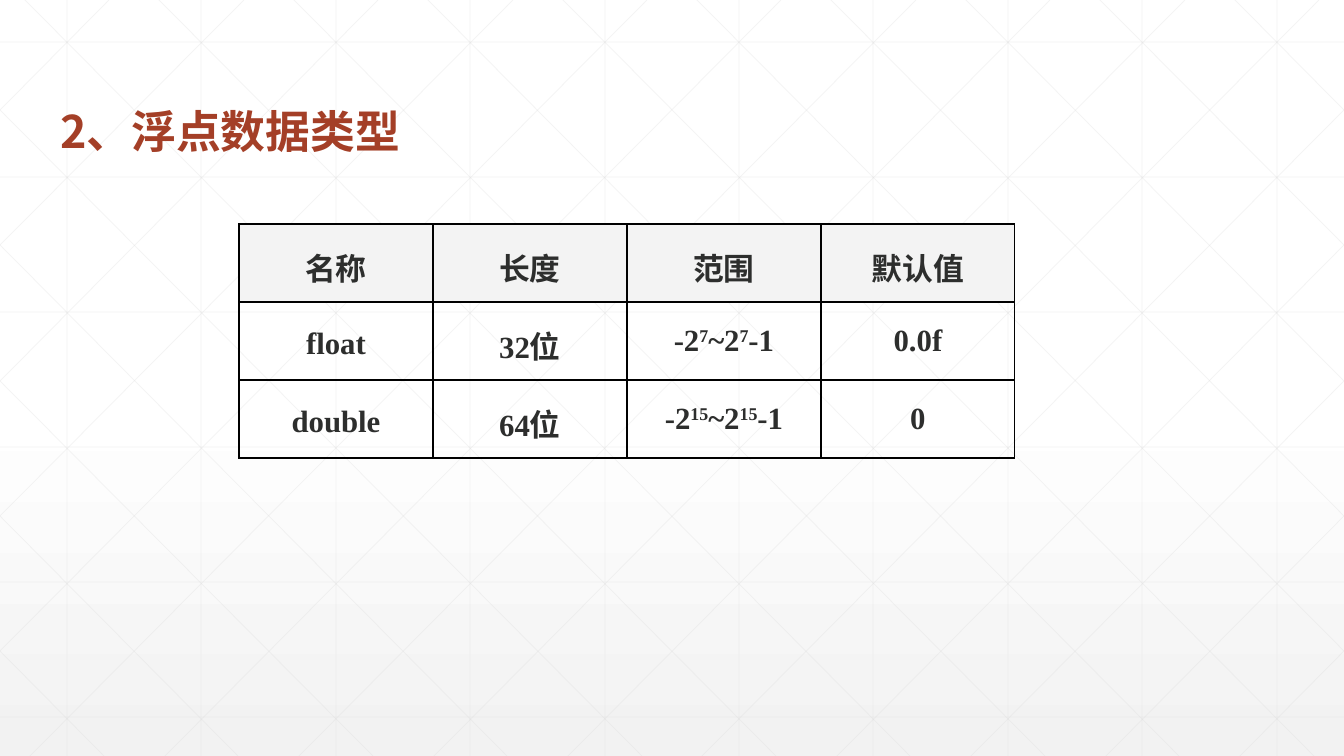
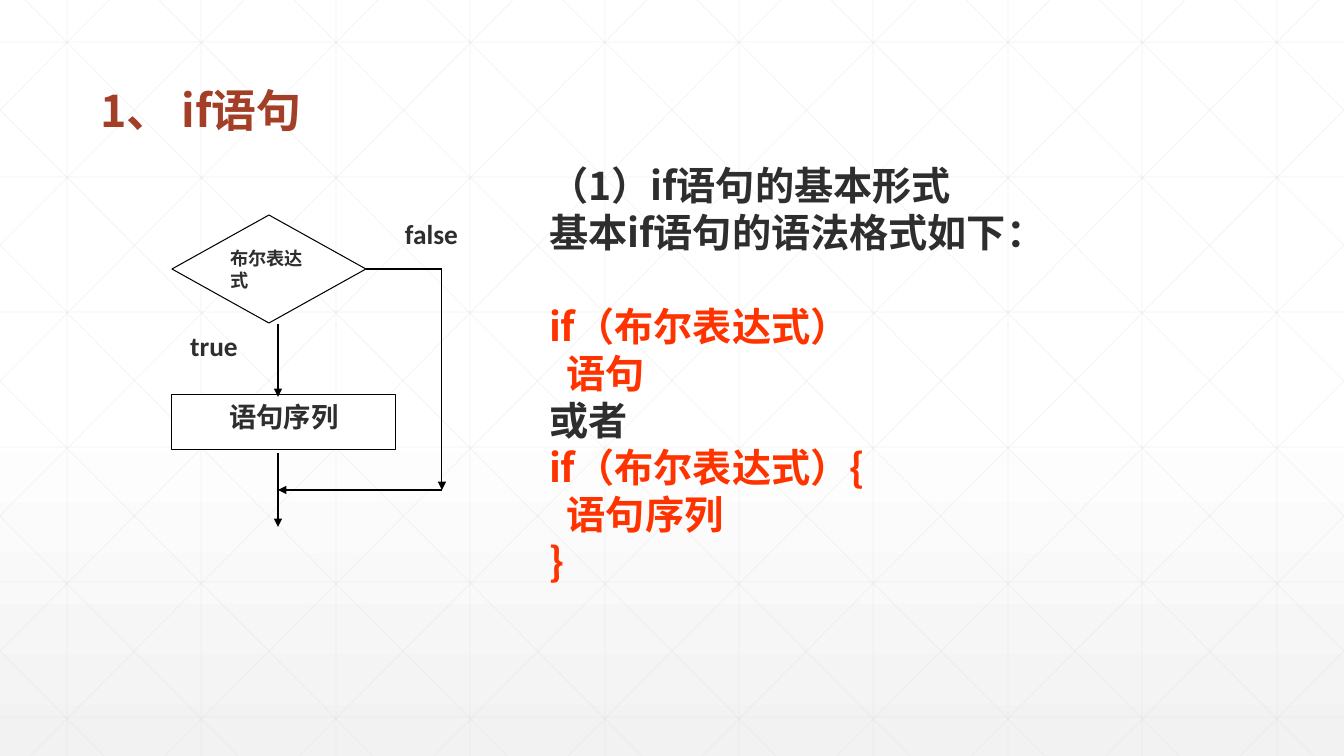
"""Build two Java lesson slides: floating-point types and the if statement."""
import dataclasses

import lxml.etree
import pptx
import pptx.dml.color
import pptx.enum.shapes
import pptx.enum.text
import pptx.oxml.ns
import pptx.util

RGB = pptx.dml.color.RGBColor.from_string
ALIGN = pptx.enum.text.PP_ALIGN
ANCHOR = pptx.enum.text.MSO_ANCHOR
SHAPE = pptx.enum.shapes.MSO_SHAPE
STRAIGHT = pptx.enum.shapes.MSO_CONNECTOR.STRAIGHT
SCALE = 914400 / 100.8
WIDTH, HEIGHT = 1344, 756


@dataclasses.dataclass(frozen=True)
class Theme:
    accent: str = "A43F27"
    ink: str = "2D2E2D"
    code: str = "FF3300"
    line: str = "000000"
    paper: str = "FFFFFF"
    shade: str = "F2F2F2"
    header: str = "F3F3F3"
    lattice: str = "D9D9D9"
    cjk: str = "Noto Sans CJK SC"
    serif: str = "Times New Roman"
    sans: str = "Calibri"
    title_pt: float = 32
    body_pt: float = 28
    table_pt: float = 22
    label_pt: float = 19.5
    small_pt: float = 13
    body_pitch: float = 33.6


T = Theme()

LATTICE = dict(pitch=134.4, first_x=67, first_y=42, pitch_y=135, slant_x=25, run=751)

FLOAT_TITLE = ("2、浮点数据类型", (50, 62, 898, 101))
FLOAT_BOX = (239, 224, 776, 234)
FLOAT_ROWS = [
    ["名称", "长度", "范围", "默认值"],
    ["float", "32位", ["-2", "7", "~2", "7", "-1"], "0.0f"],
    ["double", "64位", ["-2", "15", "~2", "15", "-1"], "0"],
]

IF_TITLE = ("1、 if语句", (90, 41, 898, 101))
IF_BOX = (517, 157, 678, 440)
IF_LINES = [
    ("（1）if语句的基本形式", T.ink, 0),
    ("基本if语句的语法格式如下：", T.ink, 0),
    ("if（布尔表达式）", T.code, 1),
    ("  语句", T.code, 0),
    ("或者", T.ink, 0),
    ("if（布尔表达式）{", T.code, 0),
    ("  语句序列", T.code, 0),
    ("}", T.code, 0),
]
FLOW_SHAPES = [
    ("语句序列", SHAPE.RECTANGLE, (172, 395, 224, 55), T.label_pt, ALIGN.CENTER),
    ("布尔表达式", SHAPE.DIAMOND, (172, 215, 194, 108), T.small_pt, ALIGN.LEFT),
]
FLOW_LABELS = [("true", (151, 324, 126, 55)), ("false", (366, 212, 131, 55))]
FLOW_ARROWS = [
    ((278, 324), (278, 397)),
    ((442, 269), (442, 490)),
    ((278, 453), (278, 527)),
    ((442, 490), (278, 490)),
]
FALSE_BRANCH = ((366, 269), (442, 269))


def px(n):
    return pptx.util.Emu(round(n * SCALE))


def box(values):
    return [px(v) for v in values]


def assign(target, **values):
    for name, value in values.items():
        setattr(target, name, value)


def sub(parent, tag, **attrs):
    return lxml.etree.SubElement(parent, pptx.oxml.ns.qn(tag), attrs)


def style(font, name, size, color):
    assign(font, name=name, size=pptx.util.Pt(size), bold=True)
    font.color.rgb = RGB(color)


def write(tf, text, name, size, align):
    assign(tf, word_wrap=True, vertical_anchor=ANCHOR.TOP)
    p = tf.paragraphs[0]
    p.alignment = align
    r = p.add_run()
    r.text = text
    style(r.font, name, size, T.ink)


def add_line(s, start, end, color, weight, arrow=False, alpha=None):
    line = s.shapes.add_connector(STRAIGHT, *box(start + end))
    line.line.color.rgb = RGB(color)
    line.line.width = pptx.util.Pt(weight)
    ln = line.line._get_or_add_ln()
    if alpha:
        sub(ln.find(".//" + pptx.oxml.ns.qn("a:srgbClr")), "a:alpha", val=str(alpha * 1000))
    if arrow:
        sub(ln, "a:tailEnd", type="triangle")
    sub(line._element.spPr, "a:effectLst")
    return line


def lattice_lines():
    g = LATTICE
    for i in range(10):
        x = round(g["first_x"] + i * g["pitch"])
        yield (x, 0), (x, HEIGHT)
    for i in range(6):
        y = g["first_y"] + i * g["pitch_y"]
        yield (0, y), (WIDTH, y)
    slope = HEIGHT / g["run"]
    for i in range(-5, 10):
        x = g["slant_x"] + i * g["pitch"]
        left, right = max(x, 0), min(x + g["run"], WIDTH)
        top, bottom = (round((edge - x) * slope) for edge in (left, right))
        left, right = round(left), round(right)
        yield (left, top), (right, bottom)
        yield (WIDTH - left, top), (WIDTH - right, bottom)


def dress_master(prs, s):
    master = prs.slide_master
    fill = master.background.fill
    fill.gradient()
    fill.gradient_angle = 270
    for stop, place, color in zip(fill.gradient_stops, (0.53, 1), (T.paper, T.shade)):
        stop.position = place
        stop.color.rgb = RGB(color)
    tree = master.shapes.element
    for i, (start, end) in enumerate(lattice_lines()):
        line = add_line(s, start, end, T.lattice, 0.5, alpha=30)
        line._element.nvCxnSpPr.cNvPr.set("id", str(100 + i))
        tree.insert(2 + i, line._element)


def place(shape, values):
    assign(shape, **dict(zip(("left", "top", "width", "height"), box(values))))


def set_title(s, text, values):
    title = s.shapes.title
    place(title, values)
    tf = title.text_frame
    tf.text = text
    assign(tf, vertical_anchor=ANCHOR.BOTTOM, auto_size=pptx.enum.text.MSO_AUTO_SIZE.NONE)
    p = tf.paragraphs[0]
    assign(p, alignment=ALIGN.LEFT, line_spacing=0.9)
    style(p.runs[0].font, T.cjk, T.title_pt, T.accent)


def set_cell(cell, content, header, spaced):
    assign(cell, vertical_anchor=ANCHOR.MIDDLE, margin_left=px(1), margin_right=px(1),
           margin_top=0, margin_bottom=0)
    tcPr = cell._tc.get_or_add_tcPr()
    for side in ("a:lnL", "a:lnR", "a:lnT", "a:lnB"):
        ln = sub(tcPr, side, w=str(pptx.util.Pt(1)))
        sub(sub(ln, "a:solidFill"), "a:srgbClr", val=T.line)
    if header:
        cell.fill.solid()
        cell.fill.fore_color.rgb = RGB(T.header)
    else:
        cell.fill.background()
    p = cell.text_frame.paragraphs[0]
    p.alignment = ALIGN.CENTER
    if spaced:
        p.line_spacing = 1.2
    parts = [content] if isinstance(content, str) else content
    for i, part in enumerate(parts):
        r = p.add_run()
        r.text = part
        style(r.font, T.serif, T.table_pt, T.ink)
        if i % 2:
            r._r.get_or_add_rPr().set("baseline", "30000")


def build_float_slide(s):
    set_title(s, *FLOAT_TITLE)
    rows, cols = len(FLOAT_ROWS), len(FLOAT_ROWS[0])
    table = s.shapes.add_table(rows, cols, *box(FLOAT_BOX)).table
    assign(table, first_row=False, horz_banding=False)
    for i, row in enumerate(FLOAT_ROWS):
        for j, content in enumerate(row):
            set_cell(table.cell(i, j), content, i == 0, i == 0 or j < 2)


def build_if_slide(s):
    set_title(s, *IF_TITLE)
    body = s.placeholders[1]
    place(body, IF_BOX)
    tf = body.text_frame
    assign(tf, vertical_anchor=ANCHOR.TOP, auto_size=pptx.enum.text.MSO_AUTO_SIZE.NONE,
           margin_left=px(9), margin_right=px(9), margin_top=px(4), margin_bottom=px(4))
    for i, (text, color, gap) in enumerate(IF_LINES):
        p = tf.add_paragraph() if i else tf.paragraphs[0]
        pPr = p._p.get_or_add_pPr()
        pPr.set("marL", "0")
        pPr.set("indent", str(px(23)))
        sub(pPr, "a:buNone")
        assign(p, line_spacing=pptx.util.Pt(T.body_pitch),
               space_before=pptx.util.Pt(gap * T.body_pitch))
        r = p.add_run()
        r.text = text
        style(r.font, T.cjk, T.body_pt, color)

    for text, kind, values, size, align in FLOW_SHAPES:
        node = s.shapes.add_shape(kind, *box(values))
        node.shadow.inherit = False
        node.fill.solid()
        node.fill.fore_color.rgb = RGB(T.paper)
        node.line.color.rgb = RGB(T.line)
        node.line.width = pptx.util.Pt(0.75)
        write(node.text_frame, text, T.sans, size, align)
    for text, values in FLOW_LABELS:
        write(s.shapes.add_textbox(*box(values)).text_frame, text, T.sans, T.label_pt, ALIGN.CENTER)
    add_line(s, *FALSE_BRANCH, T.line, 0.75).begin_connect(node, 3)
    for start, end in FLOW_ARROWS:
        add_line(s, start, end, T.line, 0.75, arrow=True)


def main():
    prs = pptx.Presentation()
    assign(prs, slide_width=px(WIDTH), slide_height=px(HEIGHT))
    float_slide = prs.slides.add_slide(prs.slide_layouts.get_by_name("Title Only"))
    dress_master(prs, float_slide)
    build_float_slide(float_slide)
    build_if_slide(prs.slides.add_slide(prs.slide_layouts.get_by_name("Title and Content")))
    prs.save("out.pptx")


if __name__ == "__main__":
    main()
